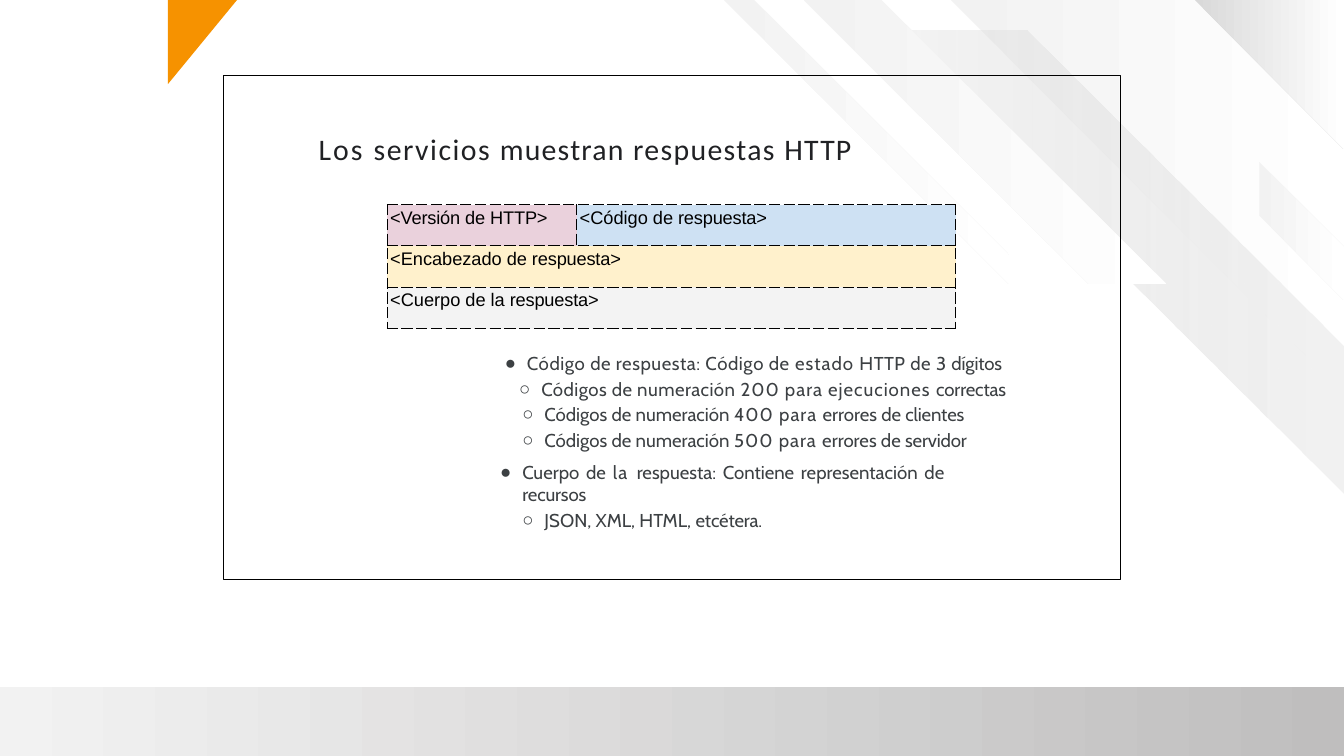
from dataclasses import dataclass

from lxml import etree
from pptx import Presentation
from pptx.dml.color import RGBColor
from pptx.enum.shapes import MSO_SHAPE as Preset
from pptx.enum.text import MSO_ANCHOR as Anchor, MSO_AUTO_SIZE as AutoSize, PP_ALIGN as Align
from pptx.oxml.ns import qn
from pptx.util import Inches, Pt


@dataclass(frozen=True)
class Theme:
    ink: str = "000000"
    title_ink: str = "202124"
    body_ink: str = "3C4043"
    accent: str = "F69200"
    white: str = "FFFFFF"
    pale: str = "F2F2F2"
    light: str = "D9D9D9"
    gray: str = "BFBEBE"
    pink: str = "EAD1DC"
    blue: str = "CEE1F3"
    cream: str = "FFF1CC"
    mist: str = "F3F3F3"
    title_size: float = 21.3
    body_size: float = 13.3
    table_size: float = 13
    line_width: float = 0.75


THEME = Theme()

# Diagonal bands: outline, left colour, right colour, opacity of the left colour
BANDS = [
    ([(13.33, 0), (9.43, 0), (13.33, 3.9)], THEME.pale, THEME.white, 100),
    ([(13.33, 3.44), (10.19, 0.3), (8.71, 0.3), (13.33, 4.91)], THEME.light, THEME.pale, 26),
    ([(13.33, 2.45), (12.49, 1.61), (12.49, 2.14), (13.33, 2.98)], THEME.pale, THEME.white, 100),
    ([(11.57, 2.82), (8.74, 0), (7.97, 0), (10.8, 2.82)], THEME.pale, THEME.white, 100),
    ([(13.33, 0), (11.85, 0), (13.33, 1.48)], THEME.light, THEME.white, 100),
    ([(7.48, 0), (10.01, 2.53), (10.01, 2.82), (7.18, 0)], THEME.pale, THEME.white, 100),
]

# Runs are pairs of wording and letter spacing in points
TITLE = [("Los ", 1.5), ("servicios ", 1.1), ("muestran ", 0.9), ("respuestas ", 1), ("HTTP", 0.9)]

# Body: level, alignment, left indent, right indent, space before, runs
BODY = [
    (0, Align.RIGHT, 0.22, 0.26, 0, [
        ("Código de respuesta: Código de ", 0.4), ("estado ", 0.7), ("HTTP ", 0.3),
        ("de ", 0.4), ("3", 0.8), (" dígitos", -0.1)]),
    (1, Align.RIGHT, 0.22, 0.22, 2.5, [
        ("Códigos de numeración ", 0.3), ("200 para ejecuciones ", 0.7), ("correctas", -0.1)]),
    (1, Align.LEFT, 0.46, 0, 2.3, [
        ("Códigos de numeración ", 0), ("400 para ", 0.7), ("errores de ", 0), ("clientes", -0.1)]),
    (1, Align.LEFT, 0.46, 0, 2.3, [
        ("Códigos de numeración ", 0), ("500 para ", 0.7), ("errores de ", 0), ("servidor", -0.1)]),
    (0, Align.JUSTIFY, 0.24, 0.83, 6.8, [
        ("Cuerpo de ", 0), ("la ", 0.9), ("respuesta: Contiene representación de ", 0),
        ("recursos", -0.1)]),
    (1, Align.LEFT, 0.46, 0, 2.5, [("JSON, XML, HTML, ", 0), ("etcétera.", -0.1)]),
]

# Table cells: row, column, fill, runs
CELLS = [
    (0, 0, THEME.pink, [("<Versión ", -0.1), ("de", 0), (" HTTP>", -0.1)]),
    (0, 1, THEME.blue, [("<Código de ", 0), ("respuesta>", -0.1)]),
    (1, 0, THEME.cream, [("<Encabezado de ", 0), ("respuesta>", -0.1)]),
    (2, 0, THEME.mist, [("<Cuerpo de la ", 0), ("respuesta>", -0.1)]),
]


def rgb(value):
    return RGBColor.from_string(value)


def place(shape, left, top, width, height):
    shape.left, shape.top = Inches(left), Inches(top)
    shape.width, shape.height = Inches(width), Inches(height)


def add_runs(para, runs, font_name, size, color):
    for wording, spacing in runs:
        run = para.add_run()
        run.text = wording
        run.font.name = font_name
        run.font.size = Pt(size)
        run.font.color.rgb = rgb(color)
        run._r.get_or_add_rPr().set("spc", str(round(spacing * 100)))


def indent(para, left, hanging=0, right=0):
    properties = para._p.get_or_add_pPr()
    for name, length in (("marL", left), ("indent", -hanging), ("marR", right)):
        properties.set(name, str(Inches(length)))
    return properties


def add_bullet(properties, symbol, tab):
    etree.SubElement(properties, qn("a:buChar"), char=symbol)
    tabs = etree.SubElement(properties, qn("a:tabLst"))
    etree.SubElement(tabs, qn("a:tab"), pos=str(Inches(tab)), algn="l")


def fade(shape, left_color, right_color, opacity=100):
    shape.shadow.inherit = False
    shape.line.fill.background()
    shape.fill.gradient()
    shape.fill.gradient_angle = 0
    for stop, color in zip(shape.fill.gradient_stops, (left_color, right_color)):
        stop.color.rgb = rgb(color)
    if opacity < 100:
        first = next(shape.element.iter(qn("a:srgbClr")))
        etree.SubElement(first, qn("a:alpha"), val=str(opacity * 1000))


def add_preset(page, preset, left, top, width, height):
    shape = page.shapes.add_shape(preset, 0, 0, 0, 0)
    place(shape, left, top, width, height)
    shape.shadow.inherit = False
    return shape


def add_band(page, points, left_color, right_color, opacity):
    start, *others = [(Inches(x), Inches(y)) for x, y in points]
    builder = page.shapes.build_freeform(*start)
    builder.add_line_segments(others, close=True)
    fade(builder.convert_to_shape(), left_color, right_color, opacity)


def prepare_text(shape, bounds, top_inset):
    place(shape, *bounds)
    shape.element.getparent().append(shape.element)  # bring in front of the bands
    frame = shape.text_frame
    frame.word_wrap = True
    frame.auto_size = AutoSize.NONE
    frame.vertical_anchor = Anchor.TOP
    frame.margin_left = frame.margin_right = frame.margin_bottom = 0
    frame.margin_top = Inches(top_inset)
    return frame


def fill_title(shape):
    para = prepare_text(shape, (3.14, 1.28, 5.38, 0.38), 0.02).paragraphs[0]
    para.alignment = Align.LEFT
    para.space_before = Pt(0)
    indent(para, 0.02)
    add_runs(para, TITLE, "Calibri", THEME.title_size, THEME.title_ink)


def fill_body(shape):
    frame = prepare_text(shape, (4.94, 3.44, 5.26, 1.64), 0.05)
    for index, (level, align, left, right, before, runs) in enumerate(BODY):
        para = frame.add_paragraph() if index else frame.paragraphs[0]
        para.level, para.alignment = level, align
        para.space_before = Pt(before)
        add_bullet(indent(para, left, 0.22, right), "●○"[level], left)
        add_runs(para, runs, "Cabin", THEME.body_size, THEME.body_ink)


def add_borders(cell):
    properties = cell._tc.get_or_add_tcPr()
    for position, side in enumerate(("lnL", "lnR", "lnT", "lnB")):
        line = etree.Element(qn(f"a:{side}"), w=str(Pt(THEME.line_width)))
        fill = etree.SubElement(line, qn("a:solidFill"))
        etree.SubElement(fill, qn("a:srgbClr"), val=THEME.ink)
        etree.SubElement(line, qn("a:prstDash"), val="lgDash")
        properties.insert(position, line)


def add_response_table(page):
    table = page.shapes.add_table(
        3, 2, Inches(3.84), Inches(2.03), Inches(5.64), Inches(1.23)).table
    table.first_row = table.horz_banding = False
    for column, width in zip(table.columns, (1.88, 3.76)):
        column.width = Inches(width)
    for row in table.rows:
        row.height = Inches(0.41)
    for row in (1, 2):
        table.cell(row, 0).merge(table.cell(row, 1))
    for row, column, color, runs in CELLS:
        cell = table.cell(row, column)
        cell.margin_left = cell.margin_right = cell.margin_bottom = 0
        cell.margin_top = Inches(0.03)
        cell.fill.solid()
        cell.fill.fore_color.rgb = rgb(color)
        para = cell.text_frame.paragraphs[0]
        indent(para, 0.03)
        add_runs(para, runs, "Arial", THEME.table_size, THEME.ink)
    for cell in table.iter_cells():
        add_borders(cell)


def main():
    deck = Presentation()
    deck.slide_width, deck.slide_height = Inches(13.33), Inches(7.5)
    page = deck.slides.add_slide(deck.slide_layouts[1])

    # Backdrop: bottom bar and diagonal bands
    fade(add_preset(page, Preset.RECTANGLE, 0, 6.82, 13.33, 0.68), THEME.pale, THEME.gray)
    for band in BANDS:
        add_band(page, *band)

    # Content
    fill_title(page.shapes.title)
    fill_body(page.placeholders[1])
    add_response_table(page)

    # Frame and corner accent
    border = add_preset(page, Preset.RECTANGLE, 2.22, 0.75, 8.89, 5)
    border.fill.background()
    border.line.color.rgb = rgb(THEME.ink)
    border.line.width = Pt(THEME.line_width)
    corner = add_preset(page, Preset.RIGHT_TRIANGLE, 1.59, 0.07, 0.84, 0.69)
    corner.rotation = 90
    corner.fill.solid()
    corner.fill.fore_color.rgb = rgb(THEME.accent)
    corner.line.fill.background()

    deck.save("out.pptx")


if __name__ == "__main__":
    main()
